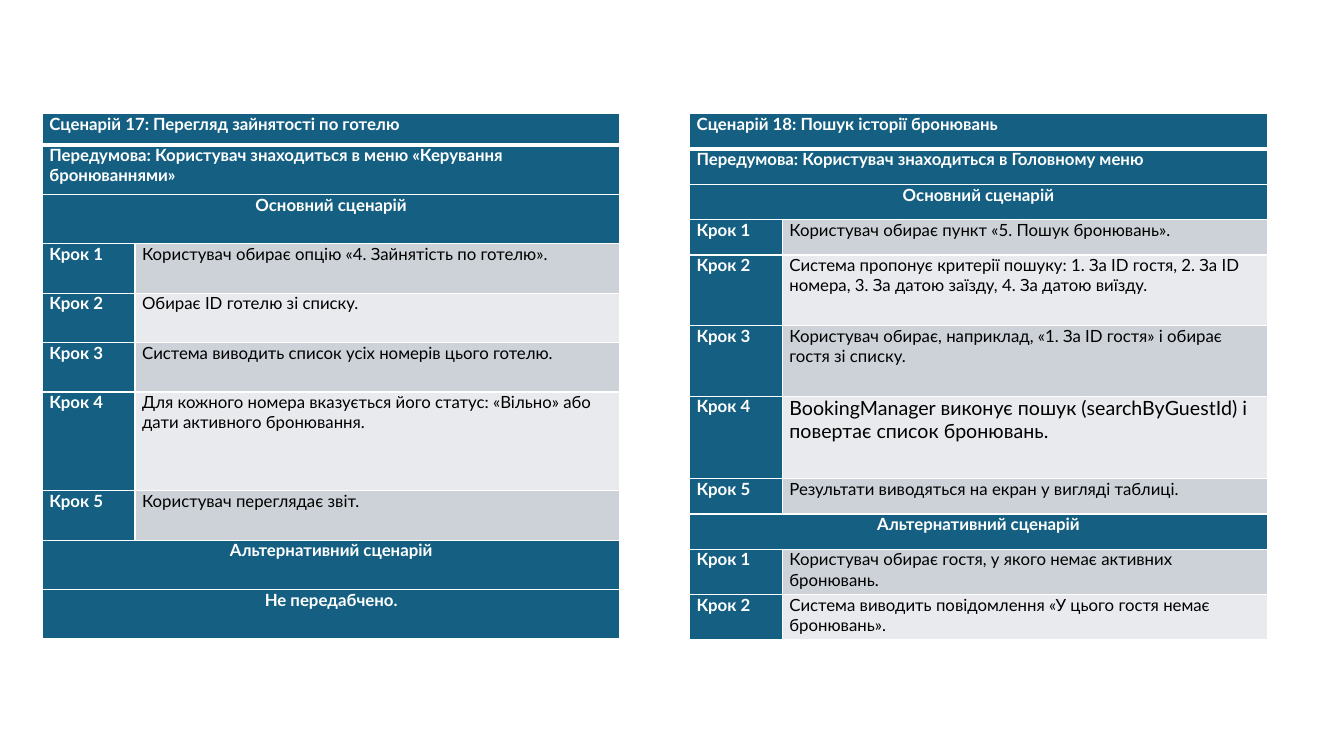
from lxml import etree
from pptx import Presentation
from pptx import util as u
from pptx.dml.color import RGBColor
from pptx.enum import text
from pptx.oxml import ns

BLUE, WHITE, BLACK = "156082", "FFFFFF", "000000"
BANDS = ["E8EAED", "CCD2D8"]
LEFT, CENTER = text.PP_ALIGN.LEFT, text.PP_ALIGN.CENTER
MARGINS = {"margin_left": u.Inches(0.07), "margin_right": u.Inches(0.07),
           "margin_top": 0, "margin_bottom": 0}


def rgb(value):
    return RGBColor.from_string(value)


def style_cell(cell, fill, borders):
    tc_pr = cell._tc.get_or_add_tcPr()
    for side, width in borders.items():
        ln = etree.SubElement(tc_pr, ns.qn(f"a:{side}"), w=str(u.Pt(width)))
        solid = etree.SubElement(ln, ns.qn("a:solidFill"))
        etree.SubElement(solid, ns.qn("a:srgbClr"), val=WHITE)
    cell.fill.solid()
    cell.fill.fore_color.rgb = rgb(fill)
    for name, value in MARGINS.items():
        setattr(cell, name, value)


# Scenarios: left edge, then rows of height, heading or step, action, action size
MAIN, ALTERNATIVE = "Основний сценарій", "Альтернативний сценарій"
CENTERED = {MAIN, ALTERNATIVE, "Не передабчено."}
scenarios = [
    (0.42, [
        (0.31, "Сценарій 17: Перегляд зайнятості по готелю"),
        (0.49, "Передумова: Користувач знаходиться в меню «Керування бронюваннями»"),
        (0.49, MAIN),
        (0.49, "Крок 1", "Користувач обирає опцію «4. Зайнятість по готелю».", 12),
        (0.49, "Крок 2", "Обирає ID готелю зі списку.", 12),
        (0.49, "Крок 3", "Система виводить список усіх номерів цього готелю.", 12),
        (0.98, "Крок 4", "Для кожного номера вказується його статус: «Вільно» або "
                         "дати активного бронювання.", 12),
        (0.49, "Крок 5", "Користувач переглядає звіт.", 12),
        (0.49, ALTERNATIVE),
        (0.49, "Не передабчено."),
    ]),
    (6.84, [
        (0.35, "Сценарій 18: Пошук історії бронювань"),
        (0.35, "Передумова: Користувач знаходиться в Головному меню"),
        (0.35, MAIN),
        (0.35, "Крок 1", "Користувач обирає пункт «5. Пошук бронювань».", 12),
        (0.7, "Крок 2", "Система пропонує критерії пошуку: 1. За ID гостя, 2. За ID "
                        "номера, 3. За датою заїзду, 4. За датою виїзду.", 12),
        (0.7, "Крок 3", "Користувач обирає, наприклад, «1. За ID гостя» і обирає "
                        "гостя зі списку.", 12),
        (0.82, "Крок 4", "BookingManager виконує пошук (searchByGuestId) і "
                         "повертає список бронювань.", 14),
        (0.35, "Крок 5", "Результати виводяться на екран у вигляді таблиці.", 12),
        (0.35, ALTERNATIVE),
        (0.45, "Крок 1", "Користувач обирає гостя, у якого немає активних бронювань.", 12),
        (0.45, "Крок 2", "Система виводить повідомлення «У цього гостя немає "
                         "бронювань».", 12),
    ]),
]

prs = Presentation()
prs.slide_width, prs.slide_height = u.Inches(13.33), u.Inches(7.5)
s = prs.slides.add_slide(prs.slide_layouts[6])

for left, rows in scenarios:
    # Table frame
    table = s.shapes.add_table(len(rows), 2, u.Inches(left), u.Inches(1.13),
                               u.Inches(5.73), u.Inches(5.23)).table
    for column, width in zip(table.columns, (0.92, 4.81)):
        column.width = u.Inches(width)

    for i, (height, heading, *action) in enumerate(rows):
        table.rows[i].height = u.Inches(height)
        # Fills and borders, with a thick rule under the title row
        borders = {"lnL": 1, "lnR": 1, "lnT": 3 if i == 1 else 1, "lnB": 3 if i == 0 else 1}
        fills = [BLUE, BANDS[i % 2] if action else BLUE]
        for cell, fill in zip(table.rows[i].cells, fills):
            style_cell(cell, fill, borders)
        if not action:
            table.cell(i, 0).merge(table.cell(i, 1))

        # Text: white bold heading, black action
        entries = [(heading, 12, True, WHITE)]
        if action:
            entries.append((*action, False, BLACK))
        for j, (words, size, bold, color) in enumerate(entries):
            p = table.cell(i, j).text_frame.paragraphs[0]
            p.alignment = CENTER if words in CENTERED else LEFT
            r = p.add_run()
            r.text = words
            for name, value in {"name": "Lato", "size": u.Pt(size), "bold": bold}.items():
                setattr(r.font, name, value)
            r.font.color.rgb = rgb(color)

prs.save("out.pptx")
